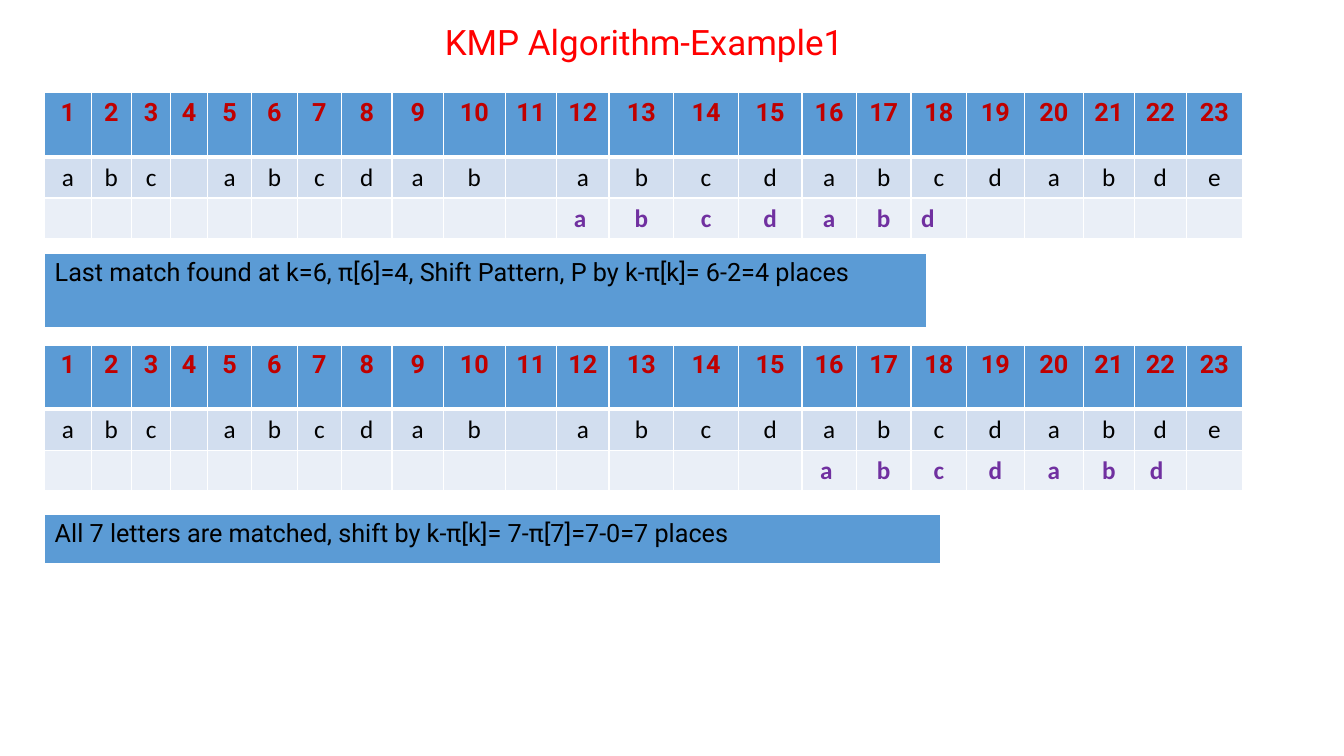
import pptx
import pptx.util
import pptx.dml.color
import pptx.enum.text
import pptx.oxml

Pt = pptx.util.Pt
RGB = pptx.dml.color.RGBColor
Align = pptx.enum.text.PP_ALIGN
Anchor = pptx.enum.text.MSO_ANCHOR

RED = RGB(0xFF, 0x00, 0x00)
CRIMSON = RGB(0xC0, 0x00, 0x00)
BLACK = RGB(0x00, 0x00, 0x00)
PURPLE = RGB(0x70, 0x30, 0xA0)
BLUE = RGB(0x5B, 0x9B, 0xD5)
PALE = RGB(0xD2, 0xDE, 0xEF)
LIGHT = RGB(0xEA, 0xEF, 0xF7)
WHITE = RGB(0xFF, 0xFF, 0xFF)

LEFT = 31.9
WIDTHS = [33.2, 28.8, 28.2, 26, 31.8, 32.4, 31.8, 36, 36.8, 44, 36.8, 37.5,
          46.2, 46.2, 45.4, 39, 39, 39.7, 41.1, 42.5, 36.1, 37.5, 39.7]
INDEX = [str(n + 1) for n in range(len(WIDTHS))]
LETTERS = list("abc abcdab abcdabcdabde")

TITLE = {"name": "Roboto", "size": Pt(25), "bold": False, "color": RED}
HEAD = {"name": "Roboto", "size": Pt(18), "bold": True, "color": CRIMSON}
BODY = {"name": "Calibri", "size": Pt(18), "bold": False, "color": BLACK}
MATCH = {"name": "Calibri", "size": Pt(18), "bold": True, "color": PURPLE}
NOTE = {"name": "Roboto", "size": Pt(18), "bold": False, "color": BLACK}


def style(font, look):
    for key, value in look.items():
        if key == "color":
            font.color.rgb = value
        else:
            setattr(font, key, value)


def grid(top, widths, rows):
    high = sum(row[0] for row in rows)
    frame = slide.shapes.add_table(len(rows), len(widths), Pt(LEFT), Pt(top),
                                   Pt(sum(widths)), Pt(high))
    table = frame.table
    for col, width in zip(table.columns, widths):
        col.width = Pt(width)
    for r, (tall, texts, look, fill, align) in enumerate(rows):
        table.rows[r].height = Pt(tall)
        lines = {"L": 1, "R": 1, "T": 3 if r == 1 else 1, "B": 3 if r == 0 else 1}
        for c, text in enumerate(texts):
            cell = table.cell(r, c)
            cell.fill.solid()
            cell.fill.fore_color.rgb = fill
            para = cell.text_frame.paragraphs[0]
            para.alignment = align
            if text.strip():
                para.text = text
                style(para.runs[0].font, look)
            else:
                style(para.font, look)
            props = cell._tc.get_or_add_tcPr()
            for spot, (side, weight) in enumerate(lines.items()):
                props.insert(spot, pptx.oxml.parse_xml(
                    f'<a:ln{side} xmlns:a="http://schemas.openxmlformats.org/drawingml/2006/main"'
                    f' w="{Pt(weight)}"><a:solidFill><a:srgbClr val="{WHITE}"/>'
                    f'</a:solidFill></a:ln{side}>'))
    return table


deck = pptx.Presentation()
deck.slide_width = Pt(960)
deck.slide_height = Pt(540)
slide = deck.slides.add_slide(deck.slide_layouts[5])

title = slide.shapes.title
for key, value in {"left": 46, "top": 16.5, "width": 828, "height": 29.5}.items():
    setattr(title, key, Pt(value))
frame = title.text_frame
frame.text = "KMP Algorithm-Example1"
frame.vertical_anchor = Anchor.MIDDLE
frame.auto_size = pptx.enum.text.MSO_AUTO_SIZE.NONE
para = frame.paragraphs[0]
para.alignment = Align.CENTER
para.line_spacing = 0.9
style(para.runs[0].font, TITLE)

steps = [
    (66.3, 11, ["a ", "b", "c", "d", "a", "b", "d"],
     181.1, 630, 54,
     "Last match found at k=6, π[6]=4, Shift Pattern, P by k-π[k]= 6-2=4 places"),
    (246.4, 15, ["a ", "b", "c", "d", "a", "b", " d"],
     367.5, 640, 36,
     "All 7 letters are matched, shift by k-π[k]= 7-π[7]=7-0=7 places"),
]
for top, shift, word, low, wide, tall, note in steps:
    rest = len(WIDTHS) - shift - len(word)
    found = [""] * shift + word + [""] * rest
    table = grid(top, WIDTHS, [
        (46, INDEX, HEAD, BLUE, Align.CENTER),
        (29, LETTERS, BODY, PALE, Align.CENTER),
        (29, found, MATCH, LIGHT, Align.CENTER),
    ])
    last = table.cell(2, shift + len(word) - 1)
    last.text_frame.paragraphs[0].alignment = Align.LEFT
    grid(low, [wide], [(tall, [note], NOTE, BLUE, Align.LEFT)])

deck.save("out.pptx")
